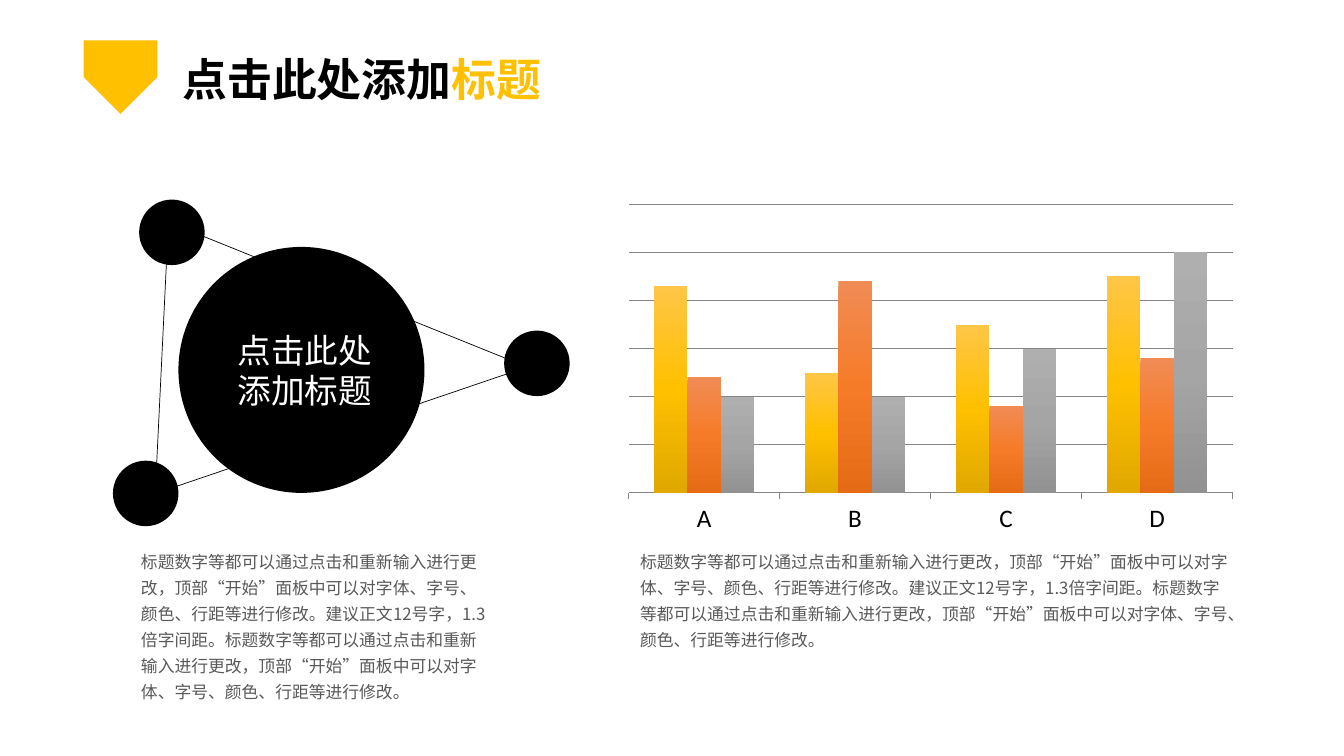
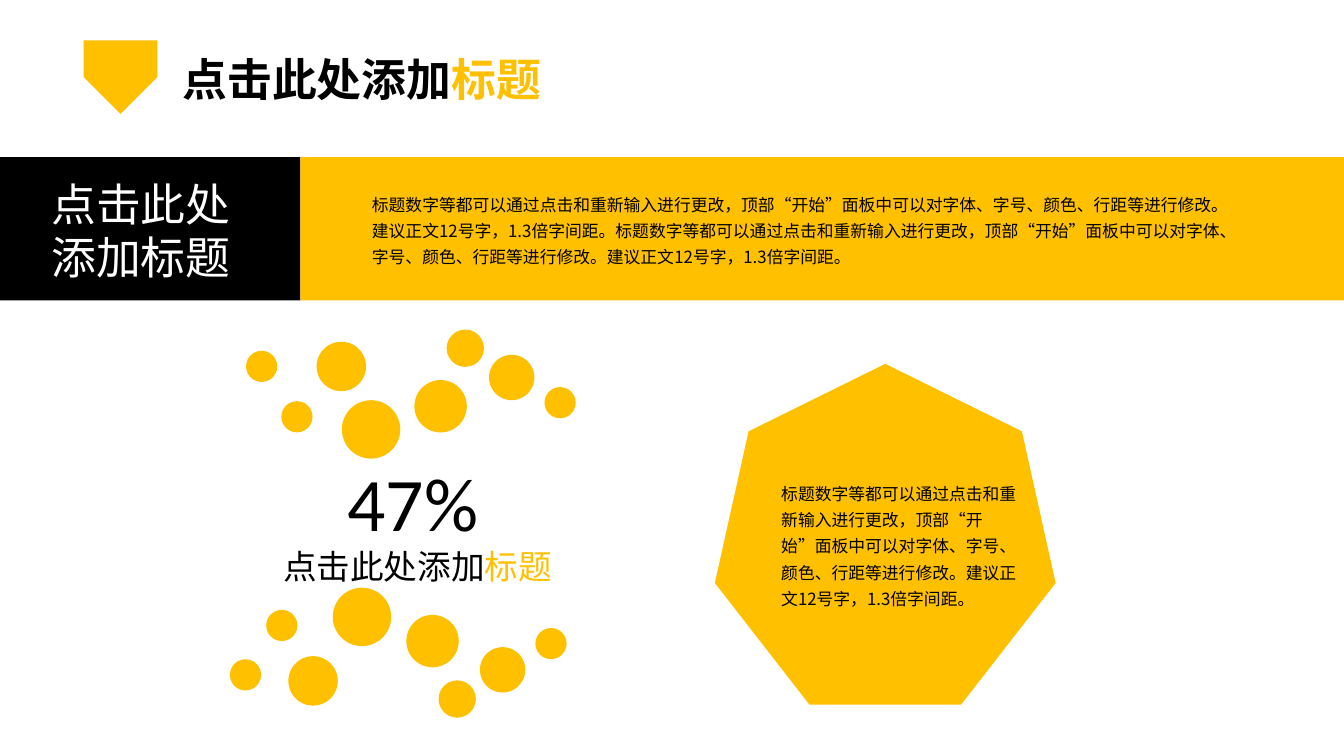
"""Build two yellow-and-black slides: a linked-circles chart page and a bubble page."""
from lxml import etree
from pptx import Presentation
from pptx.chart.data import CategoryChartData
from pptx.dml.color import RGBColor
from pptx.enum.chart import XL_CHART_TYPE, XL_TICK_MARK
from pptx.enum.lang import MSO_LANGUAGE_ID
from pptx.enum.shapes import MSO_CONNECTOR, MSO_SHAPE
from pptx.enum.text import MSO_ANCHOR, MSO_AUTO_SIZE, PP_ALIGN
from pptx.oxml.ns import qn
from pptx.util import Emu, Pt

COLUMNS = XL_CHART_TYPE.COLUMN_CLUSTERED
TICK_OUT, TICK_NONE = XL_TICK_MARK.OUTSIDE, XL_TICK_MARK.NONE
CHINESE = MSO_LANGUAGE_ID.SIMPLIFIED_CHINESE
STRAIGHT = MSO_CONNECTOR.STRAIGHT
RECT, OVAL, HEPTAGON = MSO_SHAPE.RECTANGLE, MSO_SHAPE.OVAL, MSO_SHAPE.HEPTAGON
SNIPPED = MSO_SHAPE.SNIP_2_SAME_RECTANGLE
TOP, LEFT, FIXED = MSO_ANCHOR.TOP, PP_ALIGN.LEFT, MSO_AUTO_SIZE.NONE

EMU_PER_PX = 9144
CJK, LATIN = "Noto Sans CJK SC", "Calibri"
COLORS = {"yellow": "FFC000", "black": "000000", "white": "FFFFFF",
          "body": "595959", "grid": "868686"}

HEADING = [[("点击此处添加", "black"), ("标题", "yellow")]]
CALL = ["点击此处", "添加标题"]
EDIT = "标题数字等都可以通过点击和重新输入进行更改，顶部“开始”面板中可以对字体、字号、颜色、行距等进行修改。"
ADVICE = "建议正文12号字，1.3倍字间距。"

LINKS = [((156, 216), (530, 367)), ((532, 361), (156, 489)), ((167, 222), (154, 489))]
HUB = (177, 245, 244)
NODES = [(138, 198, 65), (500, 328, 65), (112, 457, 65)]
CATEGORIES = ["A", "B", "C", "D"]
SERIES = [
    ("Series 1", (86, 50, 70, 90), ("FFC647", "FFC000", "E0A800")),
    ("Series 2", (48, 88, 36, 56), ("F18C55", "F67B28", "E56B17")),
    ("Series 3", (40, 40, 60, 100), ("AFAFAF", "A5A5A5", "929292")),
]

UPPER_BUBBLES = [(339, 397, 58), (314, 339, 49), (443, 327, 37), (411, 377, 52),
                 (485, 352, 45), (540, 384, 31), (279, 398, 31), (244, 348, 31)]
LOWER_BUBBLES = [(330, 583, 58), (286, 651, 49), (435, 675, 37), (403, 610, 52),
                 (476, 642, 45), (531, 623, 31), (264, 605, 31), (228, 654, 31)]
BAND_TOP, BAND_HEIGHT, BAND_SPLIT, SLIDE_WIDTH = 156, 142, 298, 1333


def px(*lengths):
    return [Emu(length * EMU_PER_PX) for length in lengths]


def rgb(name):
    return RGBColor.from_string(COLORS[name])


def write(slide, box, paragraphs, size, color="black", font=CJK, bold=False,
          spacing=1.0, holder=None):
    holder = holder or slide.shapes.add_textbox(*px(*box))
    holder.left, holder.top, holder.width, holder.height = px(*box)
    frame = holder.text_frame
    frame.word_wrap, frame.auto_size, frame.vertical_anchor = True, FIXED, TOP
    for index, content in enumerate(paragraphs):
        paragraph = frame.add_paragraph() if index else frame.paragraphs[0]
        paragraph.alignment, paragraph.line_spacing = LEFT, spacing
        for text, tone in [(content, color)] if isinstance(content, str) else content:
            run = paragraph.add_run()
            run.text = text
            run.font.size, run.font.bold, run.font.name = Pt(size), bold, font
            run.font.color.rgb = rgb(tone)
            run.font.language_id = CHINESE
            latin = run.font._element.find(qn("a:latin"))
            latin.addnext(latin.makeelement(qn("a:ea"), {"typeface": font}))


def add_solid(slide, kind, box, color):
    solid = slide.shapes.add_shape(kind, *px(*box))
    solid.shadow.inherit = False
    solid.fill.solid()
    solid.fill.fore_color.rgb = rgb(color)
    solid.line.fill.background()
    return solid


def add_circles(slide, circles, color):
    for left, top, diameter in circles:
        add_solid(slide, OVAL, (left, top, diameter, diameter), color)


def add_link(slide, start, end):
    link = slide.shapes.add_connector(STRAIGHT, *px(*start, *end))
    link.line.color.rgb = rgb("black")
    link.line.width = Pt(0.5)
    etree.SubElement(link._element.spPr, qn("a:effectLst"))


def add_titled_slide(deck):
    slide = deck.slides.add_slide(deck.slide_layouts[5])
    badge = add_solid(slide, SNIPPED, (83, 40, 73, 73), "yellow")
    badge.adjustments[0], badge.adjustments[1] = 0.5, 0
    badge.rotation = 180
    write(slide, (171, 46, 431, 64), HEADING, 32, bold=True, holder=slide.shapes.title)
    return slide


def shade_columns(chart):
    for series in chart.plots[0].series:
        series.format.fill.gradient()
        series.format.fill.gradient_angle = 270
        series.invert_if_negative = False
    for stops, (_, _, shades) in zip(chart.element.iter(qn("a:gsLst")), SERIES):
        for stop in list(stops):
            stops.remove(stop)
        for index, shade in enumerate(shades):
            stop = etree.SubElement(stops, qn("a:gs"), pos=str(index * 50000))
            etree.SubElement(stop, qn("a:srgbClr"), val=shade)


def add_columns(slide, box):
    data = CategoryChartData()
    data.categories = CATEGORIES
    for name, values, _ in SERIES:
        data.add_series(name, values)
    chart = slide.shapes.add_chart(COLUMNS, *px(*box), data).chart
    chart.has_legend = chart.has_title = False
    chart.font.name, chart.font.size = LATIN, Pt(18)
    chart.font.color.rgb = rgb("black")
    plot = chart.plots[0]
    plot.gap_width, plot.overlap, plot.vary_by_categories = 150, 0, False
    scale, base = chart.value_axis, chart.category_axis
    scale.minimum_scale, scale.maximum_scale, scale.major_unit = 0, 120, 20
    scale.visible, scale.has_major_gridlines = False, True
    base.major_tick_mark, base.minor_tick_mark = TICK_OUT, TICK_NONE
    for rule in (scale.major_gridlines, base):
        rule.format.line.color.rgb = rgb("grid")
        rule.format.line.width = Pt(0.75)
    shade_columns(chart)


def build_chart_slide(deck):
    slide = add_titled_slide(deck)
    for start, end in LINKS:
        add_link(slide, start, end)
    add_circles(slide, [HUB, *NODES], "black")
    write(slide, (226, 322, 195, 91), CALL, 24, "white")
    add_columns(slide, (611, 196, 624, 340))
    for left, width in ((130, 369), (625, 607)):
        write(slide, (left, 536, width, 157), [EDIT + ADVICE + EDIT], 12, "body", spacing=1.3)


def build_bubble_slide(deck):
    slide = add_titled_slide(deck)
    add_solid(slide, RECT, (0, BAND_TOP, BAND_SPLIT, BAND_HEIGHT), "black")
    add_solid(slide, RECT, (BAND_SPLIT, BAND_TOP, SLIDE_WIDTH - BAND_SPLIT, BAND_HEIGHT), "yellow")
    write(slide, (41, 170, 219, 118), CALL, 32, "white")
    write(slide, (359, 182, 879, 115), [(EDIT + ADVICE) * 2], 12, spacing=1.3)
    add_circles(slide, UPPER_BUBBLES + LOWER_BUBBLES, "yellow")
    write(slide, (335, 447, 153, 101), ["47%"], 54, font=LATIN)
    write(slide, (271, 537, 316, 50), HEADING, 24)
    add_solid(slide, HEPTAGON, (709, 361, 338, 338), "yellow")
    write(slide, (765, 469, 255, 115), [EDIT + ADVICE], 12, spacing=1.3)


def main():
    deck = Presentation()
    deck.slide_width, deck.slide_height = px(SLIDE_WIDTH, 750)
    build_chart_slide(deck)
    build_bubble_slide(deck)
    deck.save("out.pptx")


if __name__ == "__main__":
    main()
